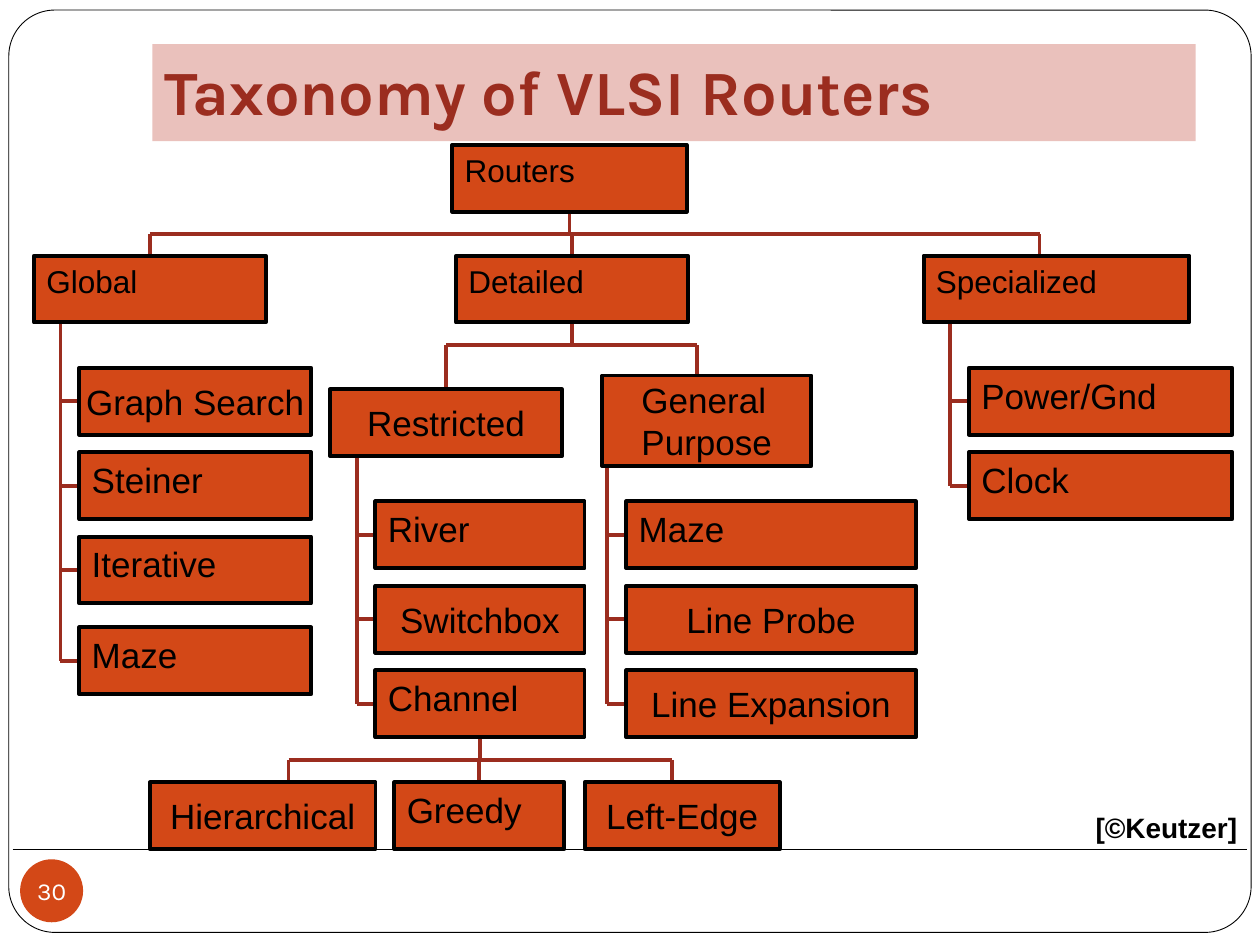
from pptx import Presentation
from pptx.dml.color import RGBColor
from pptx.enum.shapes import MSO_CONNECTOR, MSO_SHAPE
from pptx.enum.text import MSO_ANCHOR, MSO_AUTO_SIZE, PP_ALIGN
from pptx.oxml.ns import qn
from pptx.util import Inches, Pt
from lxml.etree import SubElement

BLACK, WHITE, ORANGE, RED, PINK = "000000", "FFFFFF", "D34817", "9B2D1F", "EAC1BC"
BOX_HEIGHT, ROW_PITCH, BUS_DROP, SPINE_GAP = 0.53, 0.67, 0.18, 0.15
TOP, LEFT, BOTTOM = 0, 1, 2
INSETS = (0.1, 0.05, 0.1, 0.05)
NO_INSETS = (0, 0, 0, 0)

ROOT = ("Routers", 3.59, 1.15, 1.86, BOX_HEIGHT)
CENTRED = {"Graph Search", "Hierarchical", "Left-Edge", "Switchbox", "Line Probe",
           "Line Expansion", "Restricted", "General Purpose"}
LARGE_SIZE, SMALL_SIZE = 20, 18
SMALL = {"Routers", "Global", "Detailed", "Specialized"}

BRANCHES = [
    ("Routers", [("Global", 0.27, 2.03, 1.84, BOX_HEIGHT),
                 ("Detailed", 3.62, 2.03, 1.84, BOX_HEIGHT),
                 ("Specialized", 7.33, 2.03, 2.11, BOX_HEIGHT)]),
    ("Detailed", [("Restricted", 2.62, 3.09, 1.84, BOX_HEIGHT),
                  ("General Purpose", 4.78, 2.98, 1.66, 0.72)]),
    ("Channel", [("Hierarchical", 1.19, 6.21, 1.79, BOX_HEIGHT),
                 ("Greedy", 3.13, 6.21, 1.35, BOX_HEIGHT),
                 ("Left-Edge", 4.64, 6.21, 1.55, BOX_HEIGHT)]),
]
COLUMNS = [
    ("Global", 0.63, 2.92, 1.84, ["Graph Search", "Steiner", "Iterative", "Maze"]),
    ("Restricted", 2.98, 3.98, 1.66, ["River", "Switchbox", "Channel"]),
    ("General Purpose", 4.97, 3.98, 2.3, ["Maze", "Line Probe", "Line Expansion"]),
    ("Specialized", 7.69, 2.92, 2.09, ["Power/Gnd", "Clock"]),
]
EXTRA_DROP = {("Global", "Maze"): 0.05}
OFF_CENTRE_DROPS = {"Specialized": 8.25, "General Purpose": 5.53,
                    "Hierarchical": 2.29, "Left-Edge": 5.33}


def color(value):
    return RGBColor.from_string(value)


def add_box(slide, kind, place, fill, line=None, width=0):
    shape = slide.shapes.add_shape(kind, *map(Inches, place))
    shape.shadow.inherit = False
    shape.fill.solid()
    shape.fill.fore_color.rgb = color(fill)
    if line:
        shape.line.color.rgb = color(line)
        shape.line.width = Pt(width)
    else:
        shape.line.fill.background()
    return shape


def write(shape, text, size, ink=BLACK, font="Arial", bold=False, align=PP_ALIGN.LEFT,
          anchor=MSO_ANCHOR.TOP, insets=INSETS, wrap=True):
    frame = shape.text_frame
    frame.word_wrap = wrap
    frame.vertical_anchor = anchor
    frame.margin_left, frame.margin_top, frame.margin_right, frame.margin_bottom = map(Inches, insets)
    paragraph = frame.paragraphs[0]
    paragraph.text = text
    paragraph.alignment = align
    paragraph.font.name = font
    paragraph.font.size = Pt(size)
    paragraph.font.bold = bold
    paragraph.font.color.rgb = color(ink)


def add_node(slide, label, *place):
    shape = add_box(slide, MSO_SHAPE.RECTANGLE, place, ORANGE, BLACK, 2.25)
    size = SMALL_SIZE if label in SMALL else LARGE_SIZE
    if label in CENTRED:
        write(shape, label, size, anchor=MSO_ANCHOR.MIDDLE, insets=NO_INSETS)
        shape.text_frame._txBody.find(qn("a:bodyPr")).set("anchorCtr", "1")
    else:
        write(shape, label, size)
    return shape


def add_line(slide, start, end, ink=RED, width=2.25):
    line = slide.shapes.add_connector(MSO_CONNECTOR.STRAIGHT, *start, *end)
    line.line.color.rgb = color(ink)
    line.line.width = Pt(width)
    SubElement(line._element.spPr, qn("a:effectLst"))
    return line


def middle(shape):
    return shape.left + shape.width // 2


def drop_position(shape):
    position = OFF_CENTRE_DROPS.get(shape.text_frame.text)
    return Inches(position) if position else middle(shape)


def draw_branch(slide, parent, children):
    bus = parent.top + parent.height + Inches(BUS_DROP)
    stem = add_line(slide, (middle(parent), parent.top + parent.height), (middle(parent), bus))
    stem.begin_connect(parent, BOTTOM)
    positions = [drop_position(child) for child in children]
    lines = [stem, add_line(slide, (positions[0], bus), (positions[-1], bus))]
    for child, position in zip(children, positions):
        drop = add_line(slide, (position, bus), (position, child.top))
        if position == middle(child):
            drop.end_connect(child, TOP)
        lines.append(drop)
    return lines


def draw_column(slide, parent, children):
    spine = children[0].left - Inches(SPINE_GAP)
    centers = [child.top + child.height // 2 for child in children]
    lines = [add_line(slide, (spine, parent.top + parent.height), (spine, centers[-1]))]
    for child, center in zip(children, centers):
        stub = add_line(slide, (spine, center), (child.left, center))
        stub.end_connect(child, LEFT)
        lines.append(stub)
    return lines


def main():
    presentation = Presentation()
    presentation.slide_width, presentation.slide_height = Inches(10), Inches(7.5)
    slide = presentation.slides.add_slide(presentation.slide_layouts[6])

    border = add_box(slide, MSO_SHAPE.ROUNDED_RECTANGLE, (0.07, 0.08, 9.86, 7.32), WHITE, BLACK, 0.5)
    border.adjustments[0] = 0.05
    add_line(slide, (Inches(0.1), Inches(6.74)), (Inches(9.9), Inches(6.74)), BLACK, 0.75)
    title = add_box(slide, MSO_SHAPE.RECTANGLE, (1.21, 0.35, 8.28, 0.77), PINK)
    write(title, "Taxonomy of VLSI Routers", 36, RED, "Karla", True,
          anchor=MSO_ANCHOR.BOTTOM, insets=(0.1, 0.05, 0.1, 0.1))
    credit = slide.shapes.add_textbox(*map(Inches, (8.62, 6.43, 1.2, 0.27)))
    write(credit, "[©Keutzer]", 16, bold=True, align=PP_ALIGN.RIGHT, insets=NO_INSETS, wrap=False)
    credit.text_frame.auto_size = MSO_AUTO_SIZE.SHAPE_TO_FIT_TEXT

    root = add_node(slide, *ROOT)
    nodes = {"Routers": root}
    families = []
    for parent, children in BRANCHES:
        shapes = [add_node(slide, *child) for child in children]
        nodes.update({child[0]: shape for child, shape in zip(children, shapes)})
        families.append((draw_branch, parent, shapes))
    for parent, left, top, width, labels in COLUMNS:
        shapes = []
        for row, label in enumerate(labels):
            row_top = top + row * ROW_PITCH + EXTRA_DROP.get((parent, label), 0)
            shapes.append(add_node(slide, label, left, row_top, width, BOX_HEIGHT))
            nodes[label] = shapes[-1]
        families.append((draw_column, parent, shapes))
    for draw, parent, shapes in families:
        for line in draw(slide, nodes[parent], shapes):
            root._element.addprevious(line._element)

    badge = add_box(slide, MSO_SHAPE.OVAL, (0.16, 6.82, 0.5, 0.5), ORANGE)
    write(badge, "30", 14, WHITE, "Karla", align=PP_ALIGN.CENTER,
          anchor=MSO_ANCHOR.MIDDLE, insets=NO_INSETS, wrap=False)
    presentation.save("out.pptx")


if __name__ == "__main__":
    main()
